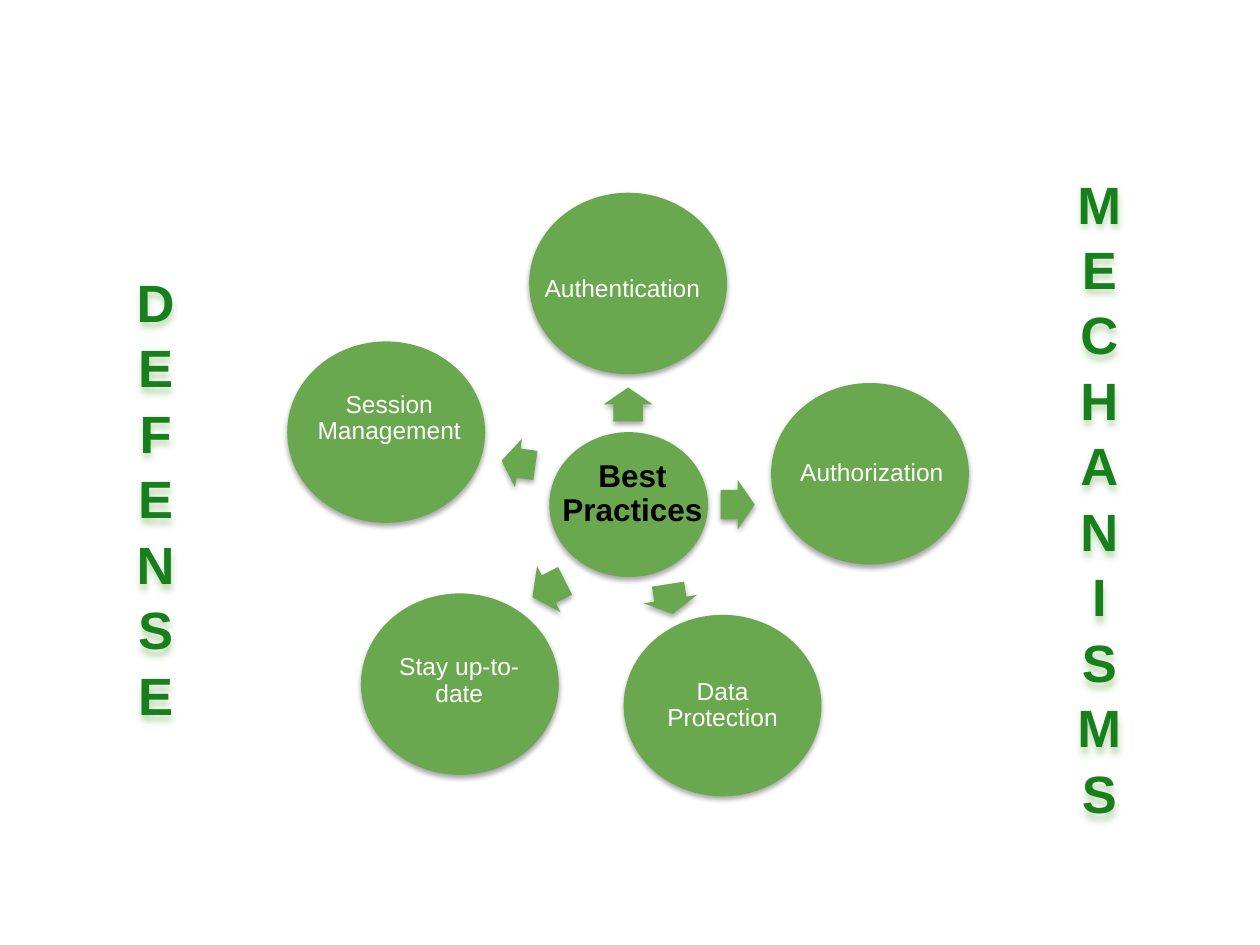
from lxml import etree
from pptx import Presentation
from pptx.dml.color import RGBColor
from pptx.enum.shapes import MSO_SHAPE
from pptx.enum.text import MSO_ANCHOR, PP_ALIGN
from pptx.oxml import parse_xml
from pptx.oxml.ns import nsdecls
from pptx.util import Inches, Pt

OVAL, ARROW = MSO_SHAPE.OVAL, MSO_SHAPE.RIGHT_ARROW
MIDDLE, CENTER = MSO_ANCHOR.MIDDLE, PP_ALIGN.CENTER
GREEN = RGBColor(0x6A, 0xA8, 0x4F)
DARK_GREEN = RGBColor(0x17, 0x80, 0x1C)
BLACK = RGBColor(0, 0, 0)
WHITE = RGBColor(255, 255, 255)

prs = Presentation()
prs.slide_width, prs.slide_height = Inches(10), Inches(7.5)
s = prs.slides.add_slide(prs.slide_layouts[6])
CELL = prs.slide_width / 100  # square grid: 100 columns by 75 rows


def add_shape(kind, cx, cy, w, h):
    """Add a green, softly shadowed shape centred on a grid point."""
    sp = s.shapes.add_shape(kind, *(round(v * CELL) for v in (cx - w / 2, cy - h / 2, w, h)))
    sp.fill.solid()
    sp.fill.fore_color.rgb = GREEN
    sp.line.fill.background()
    add_shadow(sp, BLACK, 35, 3.1, 1.8)
    return sp


def add_shadow(sp, color, opacity, blur, dist):
    effects = parse_xml(f'<a:effectLst {nsdecls("a")}/>')
    shadow = etree.SubElement(effects, effects.tag.replace("effectLst", "outerShdw"),
                              blurRad=str(Pt(blur)), dist=str(Pt(dist)), dir="5400000",
                              algn="t", rotWithShape="0")
    rgb = etree.SubElement(shadow, effects.tag.replace("effectLst", "srgbClr"), val=str(color))
    etree.SubElement(rgb, effects.tag.replace("effectLst", "alpha"), val=str(opacity * 1000))
    sp._element.spPr.append(effects)


# Hub and circles: centre column and row, width, height
for circle in [(49.9, 40.05, 12.6, 11.5), (49.85, 22.5, 15.7, 14.4), (69.05, 37.6, 15.7, 14.4),
               (57.35, 56, 15.7, 14.4), (36.5, 54.3, 15.7, 14.4), (30.65, 34.3, 15.7, 14.4)]:
    add_shape(OVAL, *circle)

# Arrows from the hub: centre column and row, length, thickness, rotation
for *place, angle in [(49.85, 32.1, 2.7, 3.9, 270), (58.55, 40.05, 2.7, 3.9, 0),
                      (53.2, 47.55, 2.4, 4.3, 81.1), (43.55, 46.75, 2.9, 4.1, 153.2),
                      (41.15, 36.75, 2.7, 3.9, 188.2)]:
    arrow = add_shape(ARROW, *place)
    arrow.adjustments[0], arrow.adjustments[1] = 0.6, 0.5
    arrow.rotation = angle

# Labels: lines, left, top, width, height, size, colour, bold, inset, line spacing
LABELS = [
    (["Best Practices"], 43.9, 35.2, 12.6, 8.1, 18, BLACK, True, 0.2, 0.9),
    (["Authentication"], 42.7, 17.9, 13.4, 10.2, 14, WHITE, False, 0.1, 0.9),
    (["Authorization"], 62.9, 32.5, 12.6, 10.2, 14, WHITE, False, 0.1, 0.9),
    (["Data Protection"], 51.8, 50.9, 11.1, 10.2, 14, WHITE, False, 0.1, 0.9),
    (["Stay up-to-date"], 30.9, 50, 11.1, 8.1, 14, WHITE, False, 0.1, 0.9),
    (["Session Management"], 24.6, 28.1, 12.6, 10.2, 14, WHITE, False, 0.1, 0.9),
    ("DEFENSE", 7.6, 14.5, 9.5, 49.8, 30, DARK_GREEN, True, 1, 1.04),
    ("MECHANISMS", 82.5, 14.5, 9.5, 49.8, 30, DARK_GREEN, True, 1, 1.04),
]
for lines, x, y, w, h, size, color, bold, inset, spacing in LABELS:
    tb = s.shapes.add_textbox(*(round(v * CELL) for v in (x, y, w, h)))
    tf = tb.text_frame
    tf.word_wrap = True
    tf.vertical_anchor = MIDDLE
    tf.margin_left = tf.margin_right = tf.margin_top = tf.margin_bottom = round(inset * CELL)
    tf.text = "\n".join(lines)
    for p in tf.paragraphs:
        p.alignment = CENTER
        p.line_spacing = spacing
        p.font.name, p.font.size, p.font.bold = "Arial", Pt(size), bold
        p.font.color.rgb = color
    if color == DARK_GREEN:
        add_shadow(tb, GREEN, 40, 4, 3)

prs.save("out.pptx")
